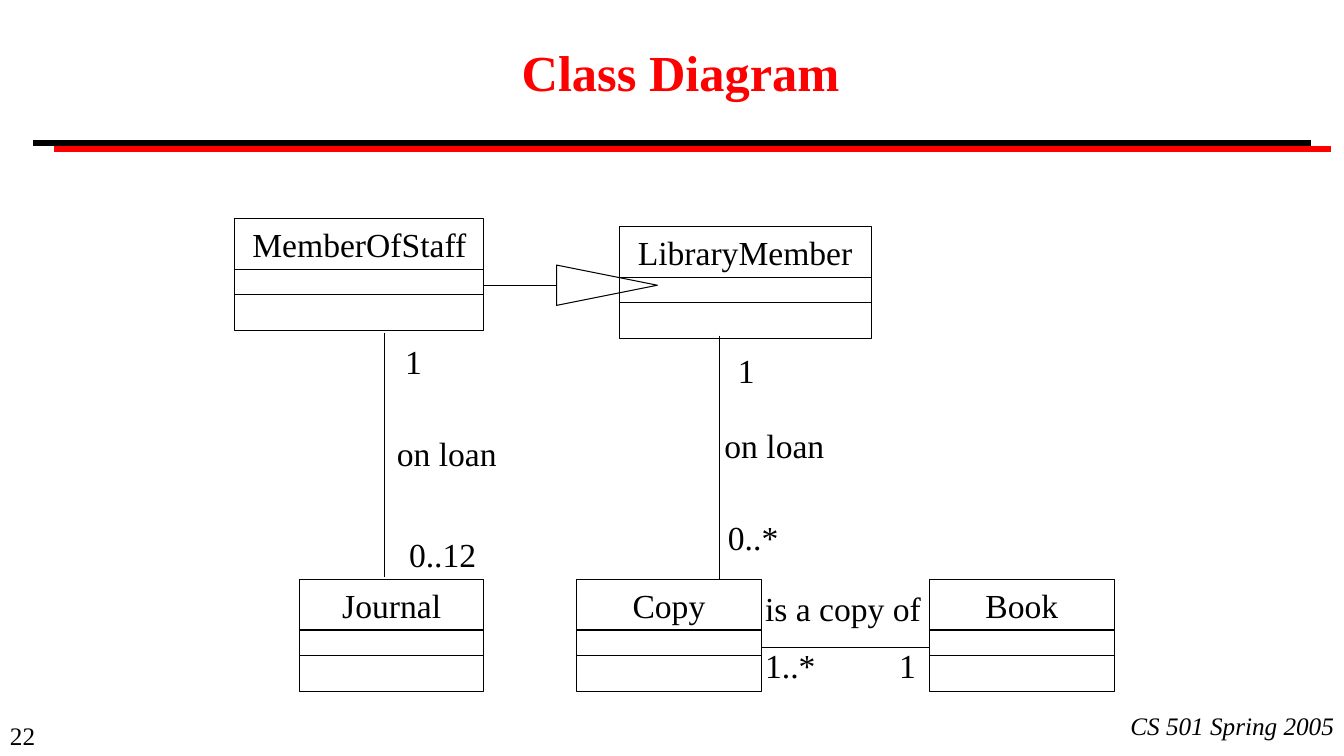
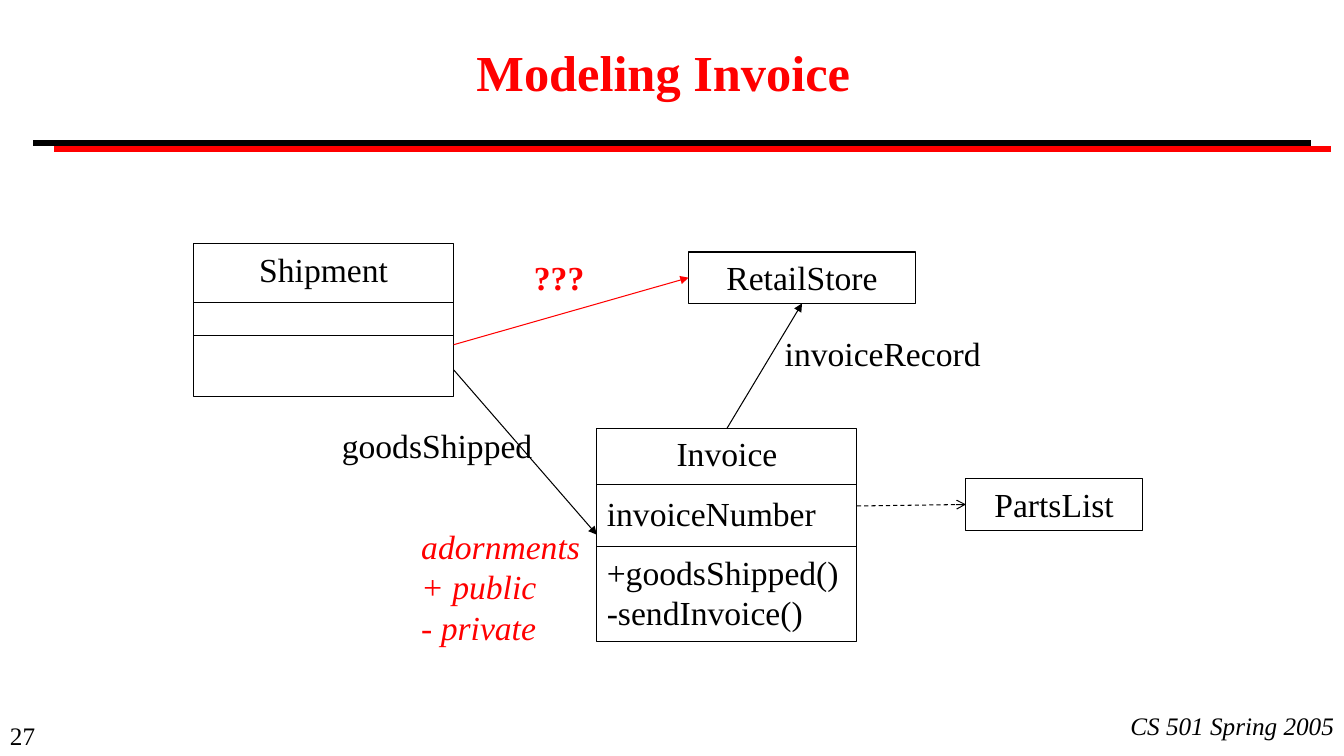
from lxml import etree
from pptx import Presentation, util as u
from pptx.dml.color import RGBColor
from pptx.enum import dml, shapes, text
from pptx.oxml import ns

BLACK, RED, WHITE = "000000", "FF0000", "FFFFFF"
FONT = "Times New Roman"
LEFT, CENTER, RIGHT = text.PP_ALIGN.LEFT, text.PP_ALIGN.CENTER, text.PP_ALIGN.RIGHT
SIDE_TOP, SIDE_LEFT, SIDE_BOTTOM = 0, 1, 2


def color(hex_string):
    return RGBColor.from_string(hex_string)


class Diagram:
    """Holds the deck style and the slide being drawn."""

    def __init__(self):
        self.deck = Presentation()
        self.deck.slide_width = u.Inches(13.33)
        self.deck.slide_height = u.Inches(7.5)
        self.page = None

    def new_page(self, title, number, title_left):
        layout = self.deck.slide_layouts.get_by_name("Title Only")
        self.page = self.deck.slides.add_slide(layout)

        # Double rule and footers
        self.line((0.33, 1.42), (13, 1.42), width=4.5)
        self.line((0.54, 1.48), (13.2, 1.48), RED, width=4.5)
        self.label([str(number)], 0, 7.1, 1.22, LEFT, size=18)
        self.label(["CS 501 Spring 2005"], 9.22, 7, 4.11, RIGHT, size=18, italic=True)

        # Title
        box = self.page.shapes.title
        box.left, box.top = u.Inches(title_left), u.Inches(0.08)
        box.width, box.height = u.Inches(8.5), u.Inches(1.25)
        box.text_frame.text = title
        box.text_frame.vertical_anchor = text.MSO_ANCHOR.MIDDLE
        self.style(box.text_frame.paragraphs[0], CENTER, 36, RED, bold=True)

    def style(self, para, align, size=24, ink=BLACK, bold=False, italic=False):
        para.alignment = align
        font = para.font
        font.name, font.size = FONT, u.Pt(size)
        font.bold, font.italic = bold, italic
        font.color.rgb = color(ink)

    def fill_text(self, frame, lines, align, **look):
        frame.word_wrap = True
        frame.vertical_anchor = text.MSO_ANCHOR.TOP
        frame.text = "\n".join(lines)
        for para in frame.paragraphs:
            self.style(para, align, **look)

    def label(self, lines, left, top, width, align=CENTER, **look):
        box = self.page.shapes.add_textbox(
            u.Inches(left), u.Inches(top), u.Inches(width), u.Inches(0.4))
        self.fill_text(box.text_frame, lines, align, **look)

    def outline(self, kind, left, top, width, height, fill=None):
        box = self.page.shapes.add_shape(
            kind, u.Inches(left), u.Inches(top), u.Inches(width), u.Inches(height))
        box.shadow.inherit = False
        if fill:
            box.fill.solid()
            box.fill.fore_color.rgb = color(fill)
        else:
            box.fill.background()
        box.line.color.rgb = color(BLACK)
        box.line.width = u.Pt(0.75)
        return box

    def class_box(self, lines, left, top, width, height=1.11, dividers=(), fill=None):
        """A class: centred name, left-aligned members, dividers measured from the top."""
        box = self.outline(shapes.MSO_SHAPE.RECTANGLE, left, top, width, height, fill)
        self.fill_text(box.text_frame, lines, LEFT)
        box.text_frame.paragraphs[0].alignment = CENTER
        for offset in dividers:
            self.line((left, top + offset), (left + width, top + offset))
        return box

    def line(self, start, end, ink=BLACK, width=0.75, head=None, dash=None,
             begin_at=None, end_at=None):
        """A line between two points; begin_at and end_at join it to (shape, side)."""
        link = self.page.shapes.add_connector(
            shapes.MSO_CONNECTOR.STRAIGHT, *(u.Inches(v) for v in (*start, *end)))
        if begin_at:
            link.begin_connect(*begin_at)
        if end_at:
            link.end_connect(*end_at)
        link.line.color.rgb = color(ink)
        link.line.width = u.Pt(width)
        if dash:
            link.line.dash_style = dash
        props = link._element.spPr
        if head:
            etree.SubElement(props.find(ns.qn("a:ln")), ns.qn("a:tailEnd"), type=head)
        etree.SubElement(props, ns.qn("a:effectLst"))

    def generalization(self, start, tip):
        """A line ending in a hollow triangle that points right."""
        length, breadth = 1, 0.4
        base = tip[0] - length
        self.line(start, (base, tip[1]))
        triangle = self.outline(
            shapes.MSO_SHAPE.ISOSCELES_TRIANGLE, base + (length - breadth) / 2,
            tip[1] - length / 2, breadth, length, WHITE)
        triangle.rotation = 90


def library_page(diagram):
    diagram.new_page("Class Diagram", 22, 2.5)

    # Classes
    diagram.generalization((4.8, 2.83), (6.52, 2.83))
    for name, left, top, width in (
            ("MemberOfStaff", 2.33, 2.17, 2.47), ("LibraryMember", 6.14, 2.25, 2.5),
            ("Journal", 2.97, 5.75, 1.83), ("Copy", 5.72, 5.75, 1.83),
            ("Book", 9.22, 5.75, 1.83)):
        diagram.class_box([name], left, top, width, dividers=(0.5, 0.75))

    # Associations
    diagram.line((3.81, 3.3), (3.81, 5.72))
    diagram.line((7.14, 3.33), (7.14, 5.75))
    diagram.line((7.55, 6.42), (9.22, 6.42))

    # Roles and multiplicities
    for words, left, top, width, align in (
            ("1", 3.92, 3.33, 0.4, LEFT), ("on loan", 3.39, 4.25, 2.08, CENTER),
            ("0..12", 3.89, 5.25, 1, CENTER),
            ("1", 7.22, 3.42, 0.4, LEFT), ("on loan", 6.64, 4.17, 2.08, CENTER),
            ("0..*", 6.97, 5.08, 1, CENTER),
            ("is a copy of", 7.49, 5.78, 1.8, LEFT),
            ("1..*", 7.49, 6.35, 0.8, LEFT), ("1", 8.82, 6.35, 0.4, LEFT)):
        diagram.label([words], left, top, width, align)


def invoice_page(diagram):
    diagram.new_page("Modeling Invoice", 27, 2.33)

    # Classes
    diagram.class_box(["Shipment"], 1.92, 2.42, 2.58, 1.51, (0.58, 0.91))
    invoice = diagram.class_box(
        ["Invoice", "invoiceNumber", "+goodsShipped()", "-sendInvoice()"],
        5.92, 4.25, 2.58, 2.11, (0.56, 1.17), WHITE)
    for para in invoice.text_frame.paragraphs[1:3]:
        para.space_before = u.Pt(13.5)
    parts = diagram.class_box(["PartsList"], 9.58, 4.75, 1.75, 0.51)
    store = diagram.class_box(["RetailStore"], 6.83, 2.5, 2.25, 0.51)

    # Arrows
    diagram.line((4.5, 3.42), (6.83, 2.75), RED, head="triangle",
                 end_at=(store, SIDE_LEFT))
    diagram.line((4.5, 3.67), (5.92, 5.25), head="triangle",
                 end_at=(invoice, SIDE_LEFT))
    diagram.line((7.25, 4.25), (7.92, 3), head="triangle",
                 begin_at=(invoice, SIDE_TOP), end_at=(store, SIDE_BOTTOM))
    diagram.line((8.5, 5.02), (9.58, 5.02), head="arrow",
                 dash=dml.MSO_LINE.DASH, end_at=(parts, SIDE_LEFT))

    # Labels
    diagram.label(["???"], 4.92, 2.5, 1.25, ink=RED, bold=True)
    diagram.label(["goodsShipped"], 3.25, 4.17, 2.17)
    diagram.label(["invoiceRecord"], 7.67, 3.25, 2.17)
    diagram.label(["adornments", "+ public", "- private"], 4.08, 5.17, 1.83, LEFT,
                  ink=RED, italic=True)


def main():
    diagram = Diagram()
    library_page(diagram)
    invoice_page(diagram)
    diagram.deck.save("out.pptx")


if __name__ == "__main__":
    main()
